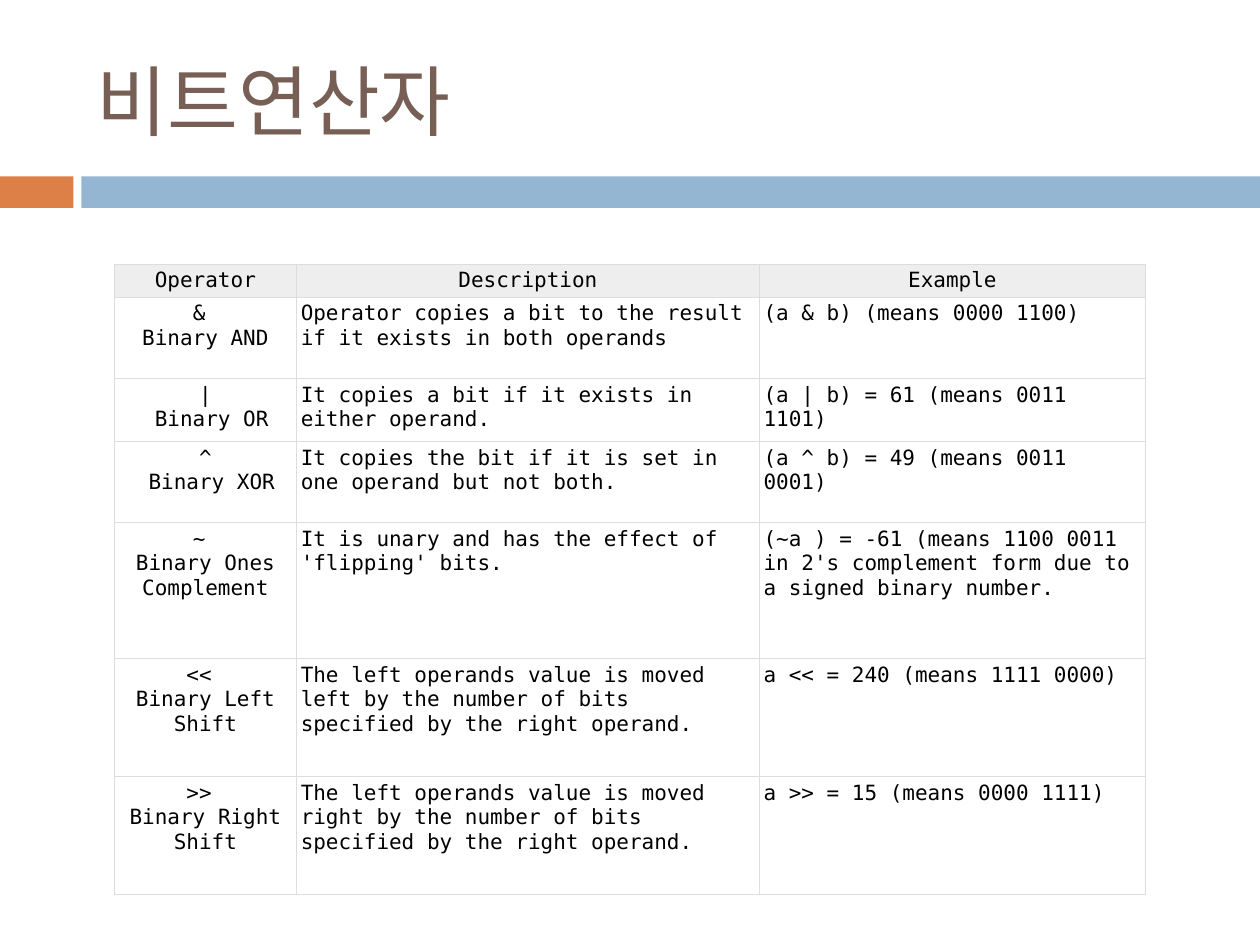
from lxml import etree
from pptx import Presentation
from pptx.dml import color
from pptx.enum import shapes, text
from pptx.oxml import ns
from pptx.util import Pt

TITLE = "비트연산자"
HEAD = ("Operator", "Description", "Example")
ROWS = [
    ("& \nBinary AND",
     "Operator copies a bit to the result if it exists in both operands",
     "(a & b) (means 0000 1100)"),
    ("|\n Binary OR",
     "It copies a bit if it exists in either operand.",
     "(a | b) = 61 (means 0011 1101)"),
    ("^\n Binary XOR",
     "It copies the bit if it is set in one operand but not both.",
     "(a ^ b) = 49 (means 0011 0001)"),
    ("~ \nBinary Ones Complement",
     "It is unary and has the effect of 'flipping' bits.",
     "(~a ) = -61 (means 1100 0011 in 2's complement form due to a signed binary number."),
    ("<< \nBinary Left Shift",
     "The left operands value is moved left by the number of bits specified by the right operand.",
     "a << = 240 (means 1111 0000)"),
    (">> \nBinary Right Shift",
     "The left operands value is moved right by the number of bits specified by the right operand.",
     "a >> = 15 (means 0000 1111)"),
]
WIDTHS = (104.2, 264.5, 220.6)
HEIGHTS = (18.4, 46.4, 36, 46.4, 77.7, 67.5, 67.5)
BARS = [("orange", 0, 42), ("blue", 46.5, 673.5)]
COLORS = {"orange": "DD8047", "blue": "94B6D2", "brown": "775F55",
          "black": "000000", "grey": "EEEEEE", "line": "DDDDDD"}
FONT = "DejaVu Sans Mono"


def rgb(name):
    return color.RGBColor.from_string(COLORS[name])


def write(frame, words, size=12, tint="black", align=text.PP_ALIGN.LEFT):
    frame.text = words
    for para in frame.paragraphs:
        para.alignment = align
        para.font.size = Pt(size)
        para.font.name = FONT
        para.font.color.rgb = rgb(tint)


def edge(cell):
    props = cell._tc.get_or_add_tcPr()
    for side in ("lnL", "lnR", "lnT", "lnB"):
        line = etree.SubElement(props, ns.qn("a:" + side), w=str(Pt(0.6)))
        fill = etree.SubElement(line, ns.qn("a:solidFill"))
        etree.SubElement(fill, ns.qn("a:srgbClr"), val=COLORS["line"])


def fit(cell, words, head, mid):
    cell.margin_left = cell.margin_right = Pt(2.4)
    cell.margin_top = cell.margin_bottom = Pt(2.4)
    cell.vertical_anchor = text.MSO_ANCHOR.TOP
    edge(cell)
    if head:
        cell.fill.solid()
        cell.fill.fore_color.rgb = rgb("grey")
    else:
        cell.fill.background()
    write(cell.text_frame, words,
          align=text.PP_ALIGN.CENTER if mid else text.PP_ALIGN.LEFT)


def main():
    deck = Presentation()
    deck.slide_width, deck.slide_height = Pt(720), Pt(540)
    slide = deck.slides.add_slide(deck.slide_layouts[5])

    for tint, left, width in BARS:
        bar = slide.shapes.add_shape(shapes.MSO_SHAPE.RECTANGLE,
                                     Pt(left), Pt(100.8), Pt(width), Pt(18))
        bar.shadow.inherit = False
        bar.fill.solid()
        bar.fill.fore_color.rgb = rgb(tint)
        bar.line.fill.background()

    title = slide.shapes.title
    title.left, title.top = Pt(48), Pt(18)
    title.width, title.height = Pt(642), Pt(78)
    write(title.text_frame, TITLE, size=44, tint="brown")
    title.text_frame.vertical_anchor = text.MSO_ANCHOR.MIDDLE

    data = [HEAD] + ROWS
    grid = slide.shapes.add_table(len(data), len(HEAD), Pt(65.3), Pt(151),
                                  Pt(sum(WIDTHS)), Pt(sum(HEIGHTS))).table
    grid.horz_banding = False
    grid.first_row = False
    for col, width in zip(grid.columns, WIDTHS):
        col.width = Pt(width)
    for r, (row, height) in enumerate(zip(data, HEIGHTS)):
        grid.rows[r].height = Pt(height)
        for c, words in enumerate(row):
            fit(grid.cell(r, c), words, head=r == 0, mid=r == 0 or c == 0)

    deck.save("out.pptx")


if __name__ == "__main__":
    main()
